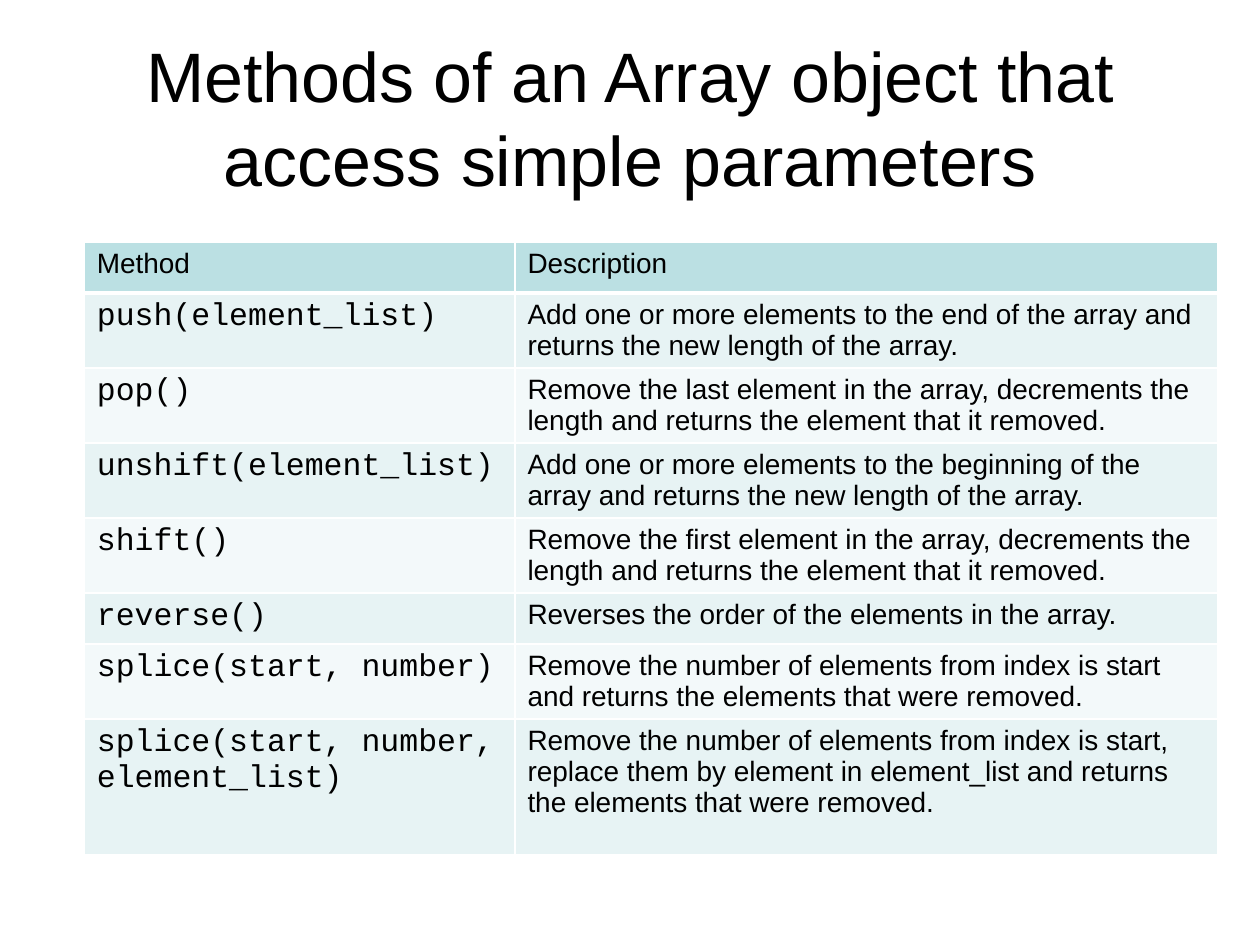
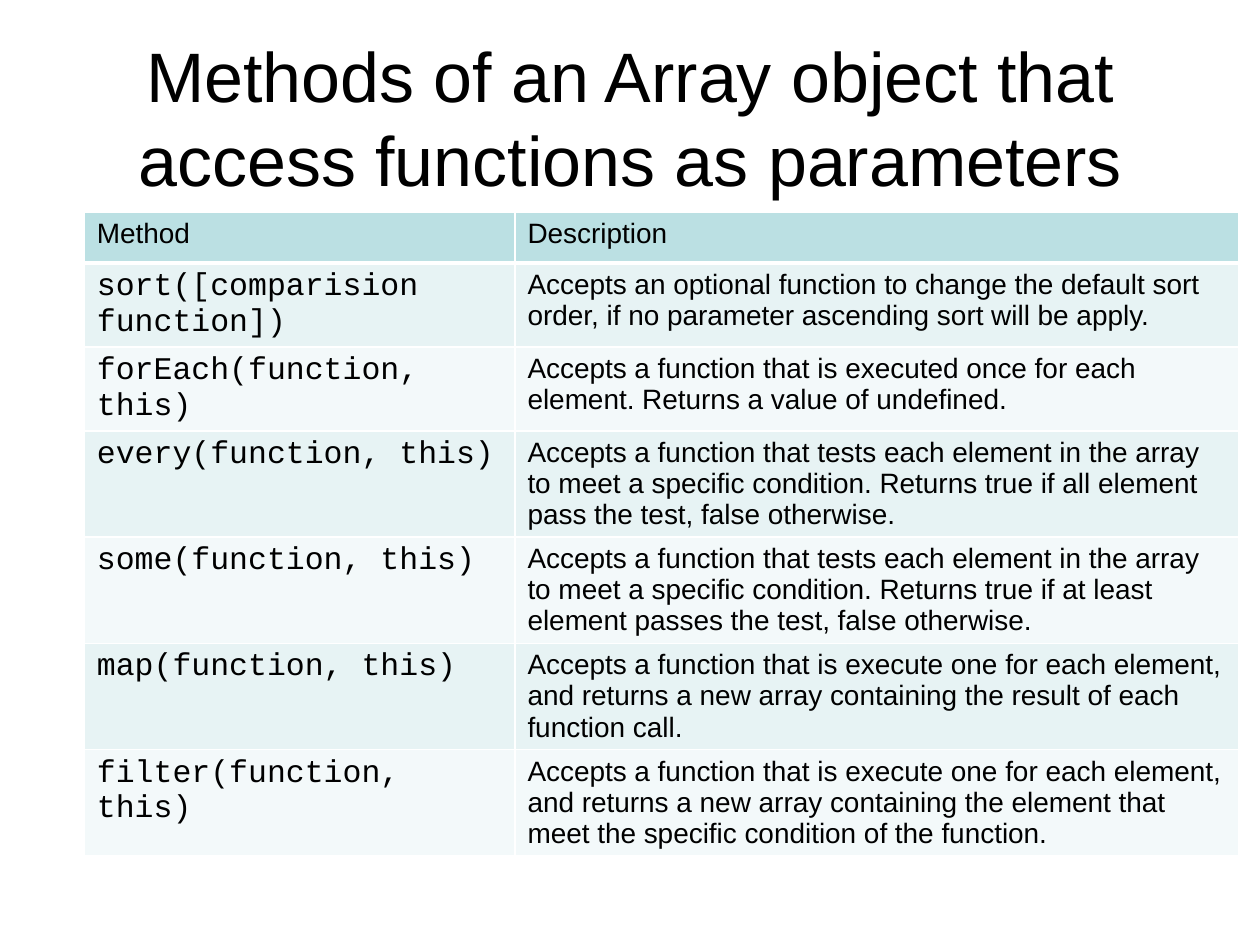
import pptx
import pptx.dml.color
import pptx.enum.text
import pptx.oxml
import pptx.oxml.ns
import pptx.util

Cm = pptx.util.Cm
Pt = pptx.util.Pt

BLACK, WHITE = "000000", "FFFFFF"
HEADER_FILL = "BBE0E3"
BAND_FILLS = ("E7F3F4", "F3F9FA")

TITLE_FORMAT = {"name": "Arial", "size": Pt(40), "bold": False}
PROSE_FORMAT = {"name": "Arial", "size": Pt(16), "bold": False}
CODE_FORMAT = {"name": "Courier New", "size": Pt(18), "bold": False}

TITLE_PLACE = {"left": Cm(1.27), "top": Cm(0.76), "width": Cm(22.86), "height": Cm(3.18)}
TABLE_LEFT = 1.7
METHOD_WIDTH = 8.68
HEADINGS = ("Method", "Description")
HEADER_HEIGHT = 1.03

# Each row holds a method, its description and the row height in cm.
SLIDES = [
    {
        "title": "Methods of an Array object that access simple parameters",
        "top": 4.88,
        "description_width": 14.17,
        "rows": [
            ("push(element_list)",
             "Add one or more elements to the end of the array and returns the new length "
             "of the array.", 1.51),
            ("pop()",
             "Remove the last element in the array, decrements the length and returns the "
             "element that it removed.", 1.51),
            ("unshift(element_list)",
             "Add one or more elements to the beginning of the array and returns the new "
             "length of the array.", 1.51),
            ("shift()",
             "Remove the first element in the array, decrements the length and returns the "
             "element that it removed.", 1.51),
            ("reverse()",
             "Reverses the order of the elements in the array.", 1.03),
            ("splice(start, number)",
             "Remove the number of elements from index is start and returns the elements "
             "that were removed.", 1.51),
            ("splice(start, number, element_list)",
             "Remove the number of elements from index is start, replace them by element in "
             "element_list and returns the elements that were removed.", 2.74),
        ],
    },
    {
        "title": "Methods of an Array object that access functions as parameters",
        "top": 4.27,
        "description_width": 14.6,
        "rows": [
            ("sort([comparision function])",
             "Accepts an optional function to change the default sort order, if no parameter "
             "ascending sort will be apply.", 1.69),
            ("forEach(function, this)",
             "Accepts a function that is executed once for each element. Returns a value of "
             "undefined.", 1.69),
            ("every(function, this)",
             "Accepts a function that tests each element in the array to meet a specific "
             "condition. Returns true if all element pass the test, false otherwise.", 2.14),
            ("some(function, this)",
             "Accepts a function that tests each element in the array to meet a specific "
             "condition. Returns true if at least element passes the test, false otherwise.",
             2.14),
            ("map(function, this)",
             "Accepts a function that is execute one for each element, and returns a new "
             "array containing the result of each function call.", 2.14),
            ("filter(function, this)",
             "Accepts a function that is execute one for each element, and returns a new "
             "array containing the element that meet the specific condition of the function.",
             2.14),
        ],
    },
]


def color(hex_string):
    return pptx.dml.color.RGBColor.from_string(hex_string)


def set_attributes(target, values):
    for name, value in values.items():
        setattr(target, name, value)


def write_text(frame, text, font_format):
    para = frame.paragraphs[0]
    span = para.add_run()
    span.text = text
    set_attributes(span.font, font_format)
    span.font.color.rgb = color(BLACK)
    return para


def add_borders(cell, widths):
    """Draw white cell borders; widths maps the sides L, R, T, B to points."""
    properties = cell._tc.get_or_add_tcPr()
    for side, width in widths.items():
        properties.append(pptx.oxml.parse_xml(
            f'<a:ln{side} {pptx.oxml.ns.nsdecls("a")} w="{Pt(width)}">'
            f'<a:solidFill><a:srgbClr val="{WHITE}"/></a:solidFill></a:ln{side}>'))


def fill_cell(cell, text, font_format, fill, borders):
    write_text(cell.text_frame, text, font_format)
    add_borders(cell, borders)
    cell.fill.solid()
    cell.fill.fore_color.rgb = color(fill)


def add_title(page, text):
    box = page.shapes.title
    set_attributes(box, TITLE_PLACE)
    frame = box.text_frame
    set_attributes(frame, {
        "word_wrap": True,
        "auto_size": pptx.enum.text.MSO_AUTO_SIZE.NONE,
        "vertical_anchor": pptx.enum.text.MSO_ANCHOR.MIDDLE,
    })
    para = write_text(frame, text, TITLE_FORMAT)
    para.alignment = pptx.enum.text.PP_ALIGN.CENTER


def add_method_table(page, content):
    rows = [(*HEADINGS, HEADER_HEIGHT)] + content["rows"]
    widths = (METHOD_WIDTH, content["description_width"])
    table = page.shapes.add_table(
        len(rows), len(widths), Cm(TABLE_LEFT), Cm(content["top"]),
        Cm(sum(widths)), Cm(sum(height for *_, height in rows))).table
    for column, width in zip(table.columns, widths):
        column.width = Cm(width)

    for index, (method, description, height) in enumerate(rows):
        table.rows[index].height = Cm(height)
        is_header = index == 0
        fill = HEADER_FILL if is_header else BAND_FILLS[(index - 1) % 2]
        borders = {"L": 1, "R": 1, "T": 3 if index == 1 else 1, "B": 3 if is_header else 1}
        method_format = PROSE_FORMAT if is_header else CODE_FORMAT
        fill_cell(table.cell(index, 0), method, method_format, fill, borders)
        fill_cell(table.cell(index, 1), description, PROSE_FORMAT, fill, borders)


def main():
    deck = pptx.Presentation()
    deck.slide_width, deck.slide_height = Cm(25.4), Cm(19.05)
    title_only = deck.slide_layouts[5]
    for content in SLIDES:
        page = deck.slides.add_slide(title_only)
        add_title(page, content["title"])
        add_method_table(page, content)
    deck.save("out.pptx")


if __name__ == "__main__":
    main()
